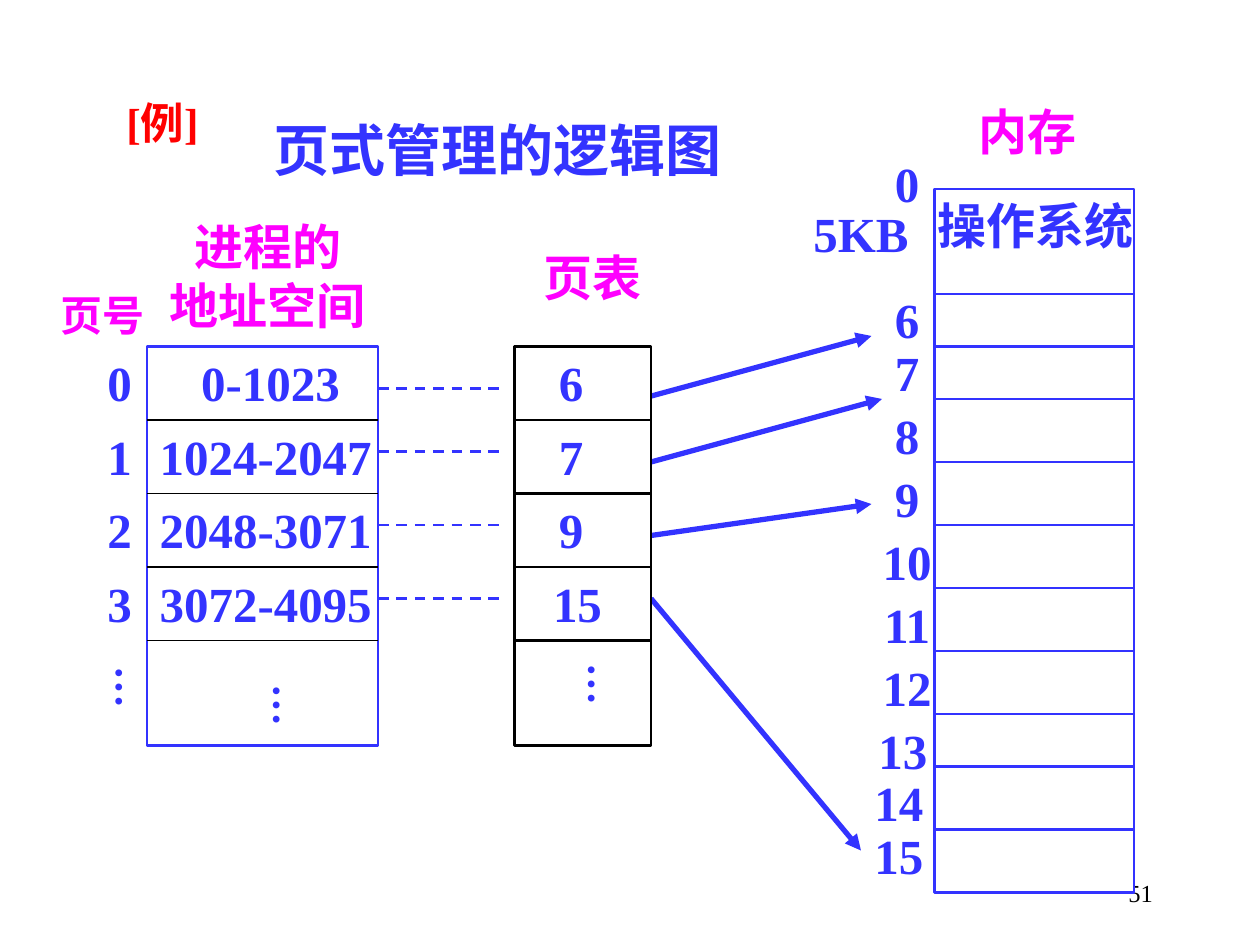
from dataclasses import dataclass
from typing import Any

import pptx
import pptx.dml.color
import pptx.enum.dml
import pptx.enum.shapes
import pptx.enum.text
import pptx.oxml
import pptx.oxml.ns
import pptx.util

ALIGN = pptx.enum.text.PP_ALIGN
ANCHOR = pptx.enum.text.MSO_ANCHOR
FIT = pptx.enum.text.MSO_AUTO_SIZE
DASH = pptx.enum.dml.MSO_LINE
DRAWING_NS = pptx.oxml.ns.nsdecls("a")


@dataclass(frozen=True)
class Theme:
    font: str = "Times New Roman"
    blue: str = "3333FF"
    magenta: str = "FF00FF"
    red: str = "FF0000"
    black: str = "000000"
    white: str = "FFFFFF"
    title: float = 32
    body: float = 28
    small: float = 24
    example: float = 24.8
    number: float = 14
    hairline: float = 0.75
    line: float = 1.5
    arrow: float = 3


THEME = Theme()
SLIDE_WIDTH = pptx.util.Inches(10)
SLIDE_HEIGHT = pptx.util.Inches(7.5)
COLUMNS = 120  # square grid cells across the slide width


@dataclass(frozen=True)
class Label:
    """Text centred on a grid column, with its top on a grid row."""
    text: str
    center: float
    top: float
    width: float = 7.4
    size: float = THEME.body
    color: str = THEME.blue
    bold: bool = True
    align: Any = ALIGN.CENTER
    anchor: Any = ANCHOR.TOP
    wrap: bool = False
    rotation: float = 0
    line_spacing: float = 1


@dataclass(frozen=True)
class Stack:
    """A framed column of cells, split at the given grid rows."""
    left: int
    top: int
    width: int
    height: int
    dividers: tuple[int, ...]
    frame_color: str
    divider_color: str
    divider_width: float


@dataclass(frozen=True)
class Stroke:
    start: tuple[int, int]
    end: tuple[int, int]
    color: str = THEME.blue
    width: float = THEME.line
    dash: Any = None
    arrow: bool = False


def grid(cells: float) -> int:
    return round(SLIDE_WIDTH * cells / COLUMNS)


def rgb(color: str) -> pptx.dml.color.RGBColor:
    return pptx.dml.color.RGBColor.from_string(color)


def draw_label(shapes: Any, label: Label) -> None:
    lines = label.text.split("\n")
    height = pptx.util.Pt(len(lines) * label.size * 1.2) + pptx.util.Inches(0.1)
    box = shapes.add_textbox(grid(label.center - label.width / 2), grid(label.top),
                             grid(label.width), height)
    box.rotation = label.rotation
    frame_format = {"word_wrap": label.wrap, "vertical_anchor": label.anchor,
                    "auto_size": FIT.NONE if label.wrap else FIT.SHAPE_TO_FIT_TEXT}
    for name, value in frame_format.items():
        setattr(box.text_frame, name, value)
    font_format = {"name": THEME.font, "size": pptx.util.Pt(label.size), "bold": label.bold}
    box.text_frame.text = label.text
    for para in box.text_frame.paragraphs:
        para.alignment = label.align
        para.line_spacing = label.line_spacing
        for span in para.runs:
            for name, value in font_format.items():
                setattr(span.font, name, value)
            span.font.color.rgb = rgb(label.color)


def draw_stroke(shapes: Any, stroke: Stroke) -> None:
    ends = [grid(value) for value in (*stroke.start, *stroke.end)]
    line = shapes.add_connector(pptx.enum.shapes.MSO_CONNECTOR.STRAIGHT, *ends)
    line.line.color.rgb = rgb(stroke.color)
    for name, value in {"width": pptx.util.Pt(stroke.width), "dash_style": stroke.dash}.items():
        setattr(line.line, name, value)
    if stroke.arrow:
        line.line._get_or_add_ln().append(
            pptx.oxml.parse_xml(f'<a:tailEnd {DRAWING_NS} type="triangle"/>'))
    line._element.spPr.append(pptx.oxml.parse_xml(f"<a:effectLst {DRAWING_NS}/>"))


def draw_stack(shapes: Any, stack: Stack) -> None:
    frame = shapes.add_shape(
        pptx.enum.shapes.MSO_SHAPE.RECTANGLE,
        *(grid(value) for value in (stack.left, stack.top, stack.width, stack.height)))
    frame.shadow.inherit = False
    frame.fill.solid()
    frame.fill.fore_color.rgb = rgb(THEME.white)
    frame.line.color.rgb = rgb(stack.frame_color)
    frame.line.width = pptx.util.Pt(THEME.line)
    for row in stack.dividers:
        draw_stroke(shapes, Stroke((stack.left, row), (stack.left + stack.width, row),
                                   stack.divider_color, stack.divider_width))


def ellipsis(center: float, top: float) -> Label:
    return Label("…", center, top, size=THEME.small, rotation=270)


PAGE_TOP, PAGE_STEP = 33, 7
PAGE_DIVIDERS = tuple(PAGE_TOP + PAGE_STEP * index for index in range(1, 5))
PROCESS = Stack(14, PAGE_TOP, 22, 38, PAGE_DIVIDERS, THEME.blue, THEME.black, THEME.hairline)
PAGE_TABLE = Stack(49, PAGE_TOP, 13, 38, PAGE_DIVIDERS, THEME.black, THEME.black, THEME.line)
TABLE_EDGE = Stroke((49, 33), (49, 71), THEME.black, THEME.hairline)
MEMORY = Stack(89, 18, 19, 67, (28, 33, 38, 44, 50, 56, 62, 68, 73, 79),
               THEME.blue, THEME.blue, THEME.line)

# page number, address range and its centre, frame and its centre
PAGES = (("0", "0-1023", 25.75, "6", 54.4),
         ("1", "1024-2047", 25.3, "7", 54.4),
         ("2", "2048-3071", 25.3, "9", 54.4),
         ("3", "3072-4095", 25.3, "15", 55))
FRAME_ROWS = (27, 32, 38, 44, 50, 56, 62, 68, 73, 78)
FRAME_CENTER = 86.4
FRAME_SHIFTS = {13: -0.4, 14: -0.8, 15: -0.8}
DASH_ROWS = (37, 43, 50, 57)
ARROWS = (((61, 38), (83, 32)), ((62, 44), (84, 38)),
          ((62, 51), (83, 48)), ((62, 57), (82, 81)))

PAGE_NUMBER = Label("51", 98.5, 83, 25, THEME.number, THEME.black, bold=False,
                    align=ALIGN.RIGHT, anchor=ANCHOR.MIDDLE, wrap=True)
HEADINGS = (
    Label("[例]", 16.6, 9.95, 11.5, THEME.example, THEME.red,
          align=ALIGN.LEFT, wrap=True, line_spacing=0.7),
    Label("页式管理的逻辑图", 47.4, 10.4, 49, THEME.title),
    Label("进程的\n地址空间", 25.5, 20, 23.5, color=THEME.magenta),
    Label("页号", 9.8, 27, 11.5, THEME.small, THEME.magenta),
    Label("页表", 56.4, 23, 14.8, color=THEME.magenta),
    Label("内存", 97.9, 9.1, 19, color=THEME.magenta),
    Label("操作系统", 98.6, 18, 21),
    Label("0", FRAME_CENTER, 14),
    Label("5KB", 82, 18.8, 12),
)


def main() -> None:
    deck = pptx.Presentation()
    deck.slide_width, deck.slide_height = SLIDE_WIDTH, SLIDE_HEIGHT
    shapes = deck.slides.add_slide(deck.slide_layouts[6]).shapes

    draw_label(shapes, PAGE_NUMBER)
    draw_stack(shapes, PROCESS)
    draw_stack(shapes, MEMORY)
    for row in DASH_ROWS:
        draw_stroke(shapes, Stroke((36, row), (48, row), dash=DASH.DASH))
    for start, end in ARROWS:
        draw_stroke(shapes, Stroke(start, end, width=THEME.arrow, arrow=True))

    table_shapes = shapes.add_group_shape().shapes
    draw_stack(table_shapes, PAGE_TABLE)
    draw_stroke(table_shapes, TABLE_EDGE)

    for index, (page, addresses, address_center, frame, frame_center) in enumerate(PAGES):
        row = PAGE_TOP + PAGE_STEP * index
        draw_label(shapes, Label(page, 11.4, row, 4.7))
        draw_label(shapes, Label(addresses, address_center, row, 23.2))
        draw_label(table_shapes, Label(frame, frame_center, row))
    draw_label(shapes, ellipsis(10, 62.5))
    draw_label(shapes, ellipsis(25, 64.2))
    draw_label(table_shapes, ellipsis(55, 62.2))

    for number, row in enumerate(FRAME_ROWS, start=6):
        draw_label(shapes, Label(str(number), FRAME_CENTER + FRAME_SHIFTS.get(number, 0), row))
    for heading in HEADINGS:
        draw_label(shapes, heading)

    deck.save("out.pptx")


if __name__ == "__main__":
    main()
